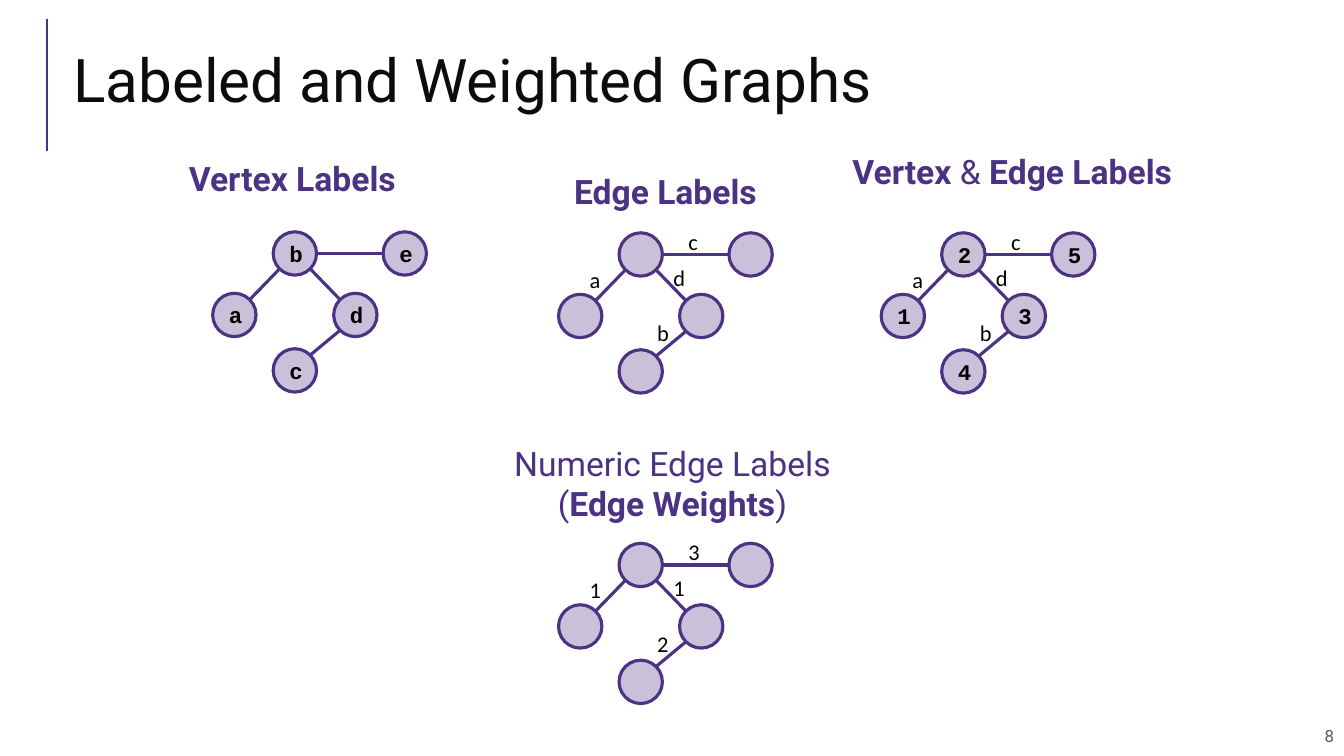
from math import hypot

from lxml.etree import SubElement
from pptx import Presentation
from pptx.dml.color import RGBColor
from pptx.enum.shapes import MSO_CONNECTOR, MSO_SHAPE
from pptx.enum.text import MSO_ANCHOR, PP_ALIGN
from pptx.oxml.ns import qn
from pptx.util import Emu, Pt

PX = 9144
COLORS = {
    "rule": "4C3282",
    "heading": "4C3283",
    "vertex": "4B3284",
    "title": "0C0C0C",
    "label": "000000",
    "number": "595959",
}
VERTEX_SIZE = 43
VERTICES = {
    "hub": (60, 0),
    "right": (120, 61),
    "low": (60, 116),
    "far": (169, 0),
    "left": (0, 61),
}
EDGES = [
    ("hub", (1, 1), "right"),
    ("low", (1, -1), "right"),
    ("hub", (1, 0), "far"),
    ("left", (1, -1), "hub"),
]
EDGE_LABEL_SPOTS = [(21, 23), (88, 76), (119, -15), (104, 21)]


def px(length):
    """Turn px into EMU."""
    return Emu(round(length * PX))


def color(name):
    """Look up a named colour."""
    return RGBColor.from_string(COLORS[name])


def add_span(para, text, font, size, ink, bold=False):
    """Add one formatted run to a paragraph."""
    span = para.add_run()
    span.text = text
    span.font.name = font
    span.font.size = Pt(size)
    span.font.bold = bold
    span.font.color.rgb = color(ink)


def prepare_text(shape, anchor, align, inset=10):
    """Set up a shape's text frame and return its first paragraph."""
    frame = shape.text_frame
    frame.word_wrap = True
    frame.vertical_anchor = anchor
    frame.margin_left = frame.margin_right = px(10)
    frame.margin_top = frame.margin_bottom = px(inset)
    para = frame.paragraphs[0]
    para.alignment = align
    return para


def add_box(page, area, anchor=MSO_ANCHOR.TOP, align=PP_ALIGN.LEFT, inset=10):
    """Add a text box and return its first paragraph."""
    box = page.shapes.add_textbox(*map(px, area))
    return prepare_text(box, anchor, align, inset)


def add_heading(page, area, lines):
    """Add a centred heading whose lines are lists of text and bold pairs."""
    para = add_box(page, area, align=PP_ALIGN.CENTER)
    for number, line in enumerate(lines):
        if number:
            para.add_line_break()
        for text, bold in line:
            add_span(para, text, "Roboto", 24, "heading", bold)


def add_line(page, start, end, width):
    """Add a straight line without a shadow."""
    line = page.shapes.add_connector(
        MSO_CONNECTOR.STRAIGHT, *map(px, (*start, *end))
    )
    line.line.color.rgb = color("rule")
    line.line.width = Pt(width)
    SubElement(line._element.spPr, qn("a:effectLst"))


def add_vertex(page, left, top, label):
    """Add a translucent circle with an optional label."""
    vertex = page.shapes.add_shape(
        MSO_SHAPE.OVAL, *map(px, (left, top, VERTEX_SIZE, VERTEX_SIZE))
    )
    vertex.shadow.inherit = False
    vertex.fill.solid()
    vertex.fill.fore_color.rgb = color("vertex")
    tint = vertex._element.spPr.find(qn("a:solidFill")).find(qn("a:srgbClr"))
    SubElement(tint, qn("a:alpha"), val="30000")
    vertex.line.color.rgb = color("rule")
    vertex.line.width = Pt(2.25)
    if label:
        para = prepare_text(vertex, MSO_ANCHOR.MIDDLE, PP_ALIGN.LEFT)
        add_span(para, label, "Courier New", 16, "label", True)


def rim_point(origin, name, direction, sign):
    """Find where an edge in a direction meets a vertex's rim."""
    radius = VERTEX_SIZE / 2
    reach = sign * radius / hypot(*direction)
    return tuple(
        base + offset + radius + reach * step
        for base, offset, step in zip(origin, VERTICES[name], direction)
    )


def add_graph(page, origin, vertex_labels="", edge_labels=""):
    """Add a five-vertex tree with its labels."""
    left, top = origin
    for first, direction, second in EDGES:
        start = rim_point(origin, first, direction, 1)
        end = rim_point(origin, second, direction, -1)
        add_line(page, start, end, 2.25)
    for index, (across, down) in enumerate(VERTICES.values()):
        label = vertex_labels[index:index + 1]
        add_vertex(page, left + across, top + down, label)
    for label, (across, down) in zip(edge_labels, EDGE_LABEL_SPOTS):
        para = add_box(page, (left + across, top + down, 30, 25))
        add_span(para, label, "Calibri", 16, "label")


def main():
    """Build the slide and save it."""
    deck = Presentation()
    deck.slide_width, deck.slide_height = px(1333), px(750)
    page = deck.slides.add_slide(deck.slide_layouts[6])

    add_line(page, (47, 150), (47, 19), 1.5)
    title = add_box(page, (63, 29, 1223, 111), MSO_ANCHOR.MIDDLE, inset=5)
    title.line_spacing = 0.8
    add_span(title, "Labeled and Weighted Graphs", "Roboto", 43, "title")

    add_heading(page, (170, 147, 240, 55), [[("Vertex Labels", True)]])
    add_graph(page, (211, 230), vertex_labels="bdcea")

    add_heading(page, (508, 160, 304, 56), [[("Edge Labels", True)]])
    add_graph(page, (554, 231), edge_labels="abcd")

    add_heading(
        page,
        (812, 140, 384, 68),
        [[("Vertex ", True), ("&", False), (" Edge Labels", True)]],
    )
    add_graph(page, (874, 231), vertex_labels="23451", edge_labels="abcd")

    add_heading(
        page,
        (475, 429, 384, 95),
        [
            [("Numeric Edge Labels", False)],
            [("(", False), ("Edge Weights", True), (")", False)],
        ],
    )
    add_graph(page, (554, 539), edge_labels="1231")

    number = add_box(
        page, (865, 710, 468, 40), MSO_ANCHOR.MIDDLE, PP_ALIGN.RIGHT
    )
    add_span(number, "8", "Roboto", 12, "number")
    deck.save("out.pptx")


if __name__ == "__main__":
    main()
